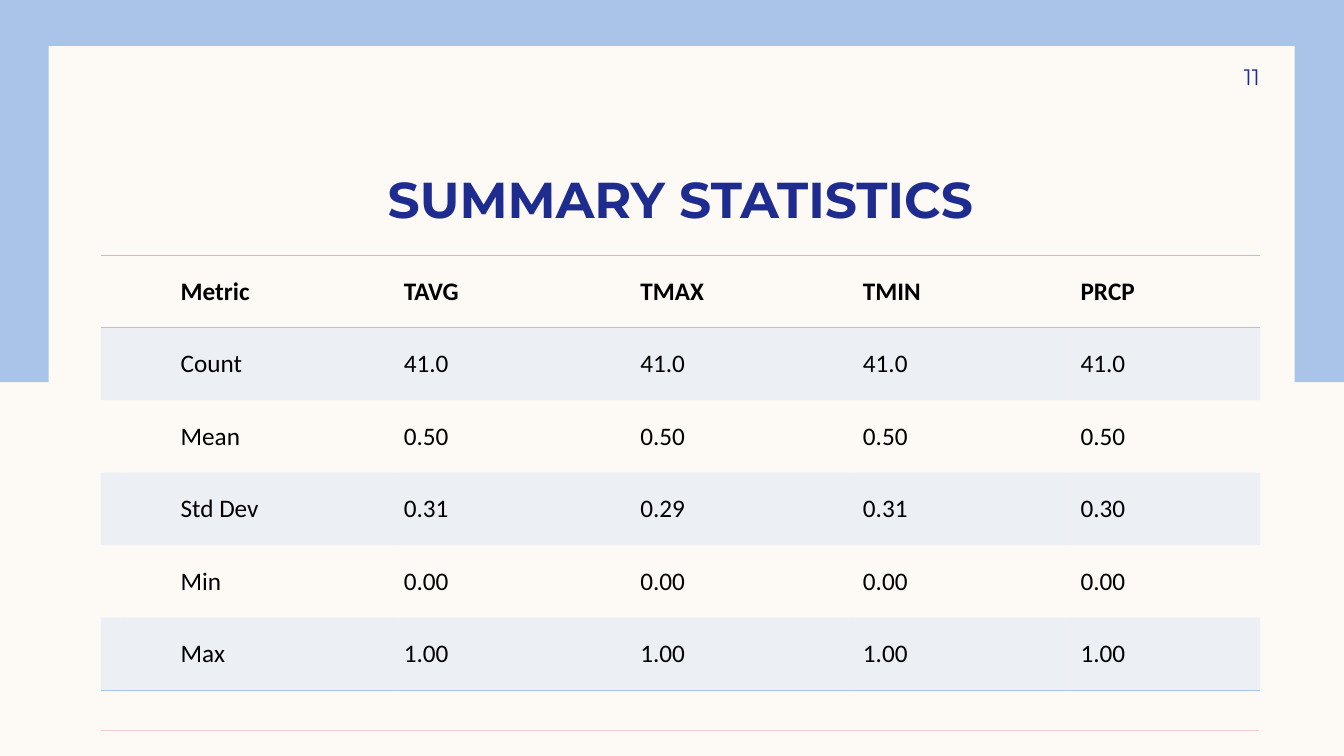
from lxml import etree
from pptx import Presentation
from pptx.dml.color import RGBColor
from pptx.enum import shapes, text
from pptx.oxml import ns
from pptx.util import Pt

CREAM = RGBColor(0xFD, 0xFA, 0xF6)
SKY = RGBColor(0xAA, 0xC3, 0xE8)
PINK = RGBColor(0xF5, 0xCD, 0xCE)
NAVY = RGBColor(0x1F, 0x2C, 0x8F)
BLACK = RGBColor(0, 0, 0)
NO_STYLE = "{2D5ABB26-0587-4C30-8999-92F81FD0307C}"


def write(frame, words, font="Calibri", size=18, color=BLACK, bold=False,
          align=text.PP_ALIGN.LEFT):
    paragraph = frame.paragraphs[0]
    paragraph.alignment = align
    run = paragraph.add_run()
    run.text = words
    run.font.name = font
    run.font.size = Pt(size)
    run.font.color.rgb = color
    run.font.bold = bold


def rule(cell, sides, color):
    props = cell._tc.get_or_add_tcPr()
    for place, side in enumerate(sides):
        line = etree.Element(ns.qn("a:ln" + side), w=str(Pt(1)))
        fill = etree.SubElement(line, ns.qn("a:solidFill"))
        etree.SubElement(fill, ns.qn("a:srgbClr"), val=str(color))
        props.insert(place, line)


deck = Presentation()
deck.slide_width, deck.slide_height = Pt(960), Pt(540)
slide = deck.slides.add_slide(deck.slide_layouts[6])
slide.background.fill.solid()
slide.background.fill.fore_color.rgb = CREAM

for left, top, width, height, color in [(-2, 0, 962, 273, SKY),
                                        (34.8, 33, 890, 474.5, CREAM)]:
    panel = slide.shapes.add_shape(shapes.MSO_SHAPE.RECTANGLE,
                                   Pt(left), Pt(top), Pt(width), Pt(height))
    panel.shadow.inherit = False
    panel.fill.solid()
    panel.fill.fore_color.rgb = color
    panel.line.fill.background()

title = slide.shapes.add_textbox(Pt(72), Pt(83.5), Pt(828), Pt(80)).text_frame
title.word_wrap = True
title.vertical_anchor = text.MSO_ANCHOR.BOTTOM
title.margin_top = title.margin_bottom = 0
write(title, "SUMMARY STATISTICS", font="Montserrat", size=36, color=NAVY,
      bold=True, align=text.PP_ALIGN.CENTER)

page_number = slide.shapes.add_textbox(Pt(816), Pt(36), Pt(84), Pt(37.5)).text_frame
page_number.word_wrap = True
page_number.vertical_anchor = text.MSO_ANCHOR.MIDDLE
page_number.margin_right = 0
write(page_number, "11", font="Montserrat", size=16, color=NAVY,
      align=text.PP_ALIGN.RIGHT)

statistics = [
    ["Metric", "TAVG", "TMAX", "TMIN", "PRCP"],
    ["Count", "41.0", "41.0", "41.0", "41.0"],
    ["Mean", "0.50", "0.50", "0.50", "0.50"],
    ["Std Dev", "0.31", "0.29", "0.31", "0.30"],
    ["Min", "0.00", "0.00", "0.00", "0.00"],
    ["Max", "1.00", "1.00", "1.00", "1.00"],
]
column_widths = [16.5, 192, 169, 159, 155.5, 135.5]
last_row = len(statistics) - 1

grids = []
for widths, row_count, row_height in [([827.5], 1, 339.5),
                                      (column_widths, len(statistics), 51.8)]:
    grid = slide.shapes.add_table(row_count, len(widths), Pt(72), Pt(182.3),
                                  Pt(sum(widths)), Pt(row_height * row_count)).table
    grid.first_row = grid.horz_banding = False
    grid._tbl.tblPr.find(ns.qn("a:tableStyleId")).text = NO_STYLE
    for column, width in zip(grid.columns, widths):
        column.width = Pt(width)
    for row in grid.rows:
        row.height = Pt(row_height)
    for cell in grid.iter_cells():
        cell.fill.background()
    grids.append(grid)

backdrop, summary = grids
rule(backdrop.cell(0, 0), "TB", PINK)

for r, values in enumerate(statistics):
    for c, value in enumerate([""] + values):
        cell = summary.cell(r, c)
        cell.vertical_anchor = text.MSO_ANCHOR.MIDDLE
        if value:
            write(cell.text_frame, value, bold=r == 0)
        if c == 1:
            cell.margin_left = Pt(39.8)
        if r % 2:
            cell.fill.solid()
            cell.fill.fore_color.rgb = SKY
            tint = cell._tc.tcPr.find(".//" + ns.qn("a:srgbClr"))
            etree.SubElement(tint, ns.qn("a:alpha"), val="20000")
        if r == 0:
            rule(cell, "TB", SKY)
        elif r == last_row:
            rule(cell, "B", SKY)

deck.save("out.pptx")
